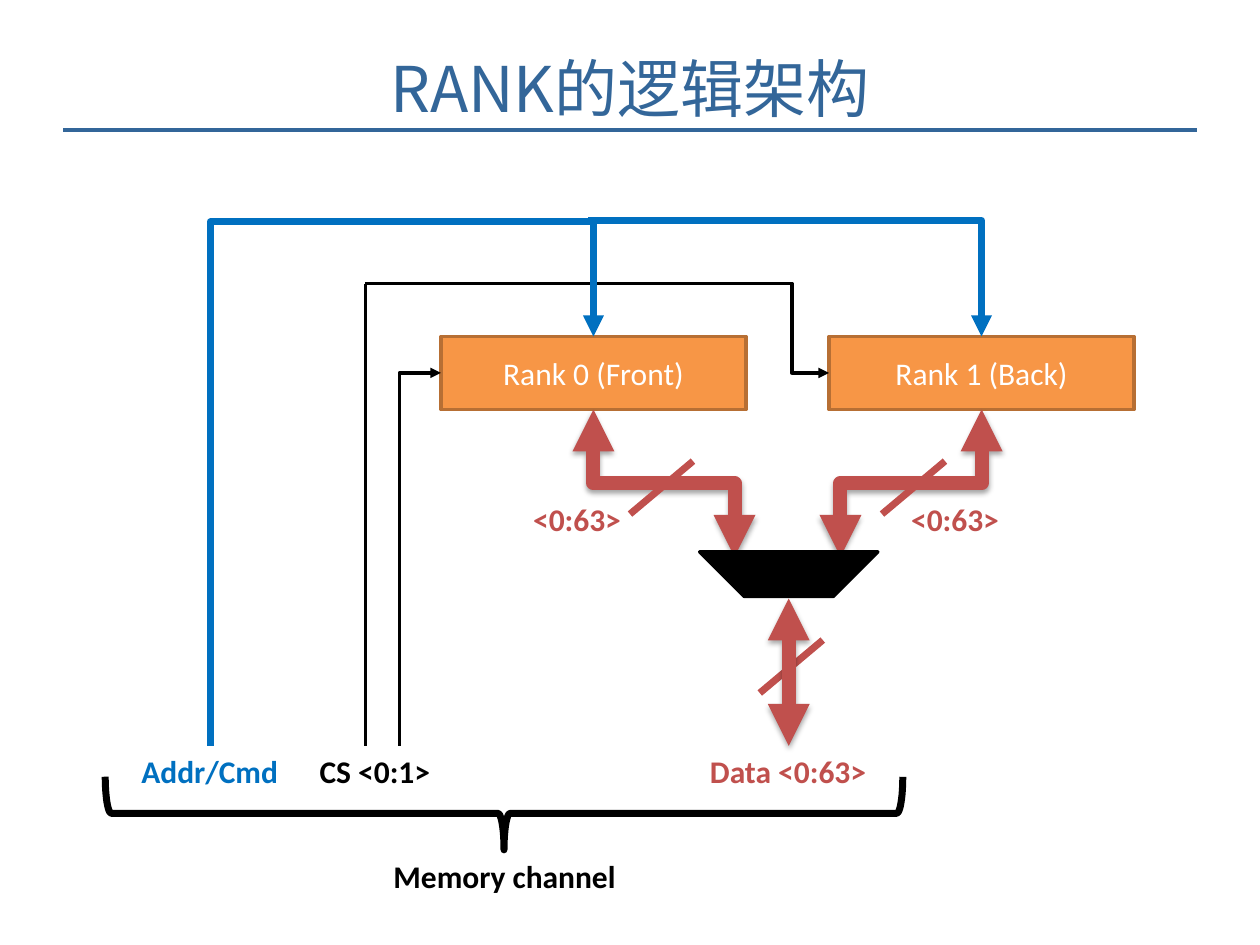
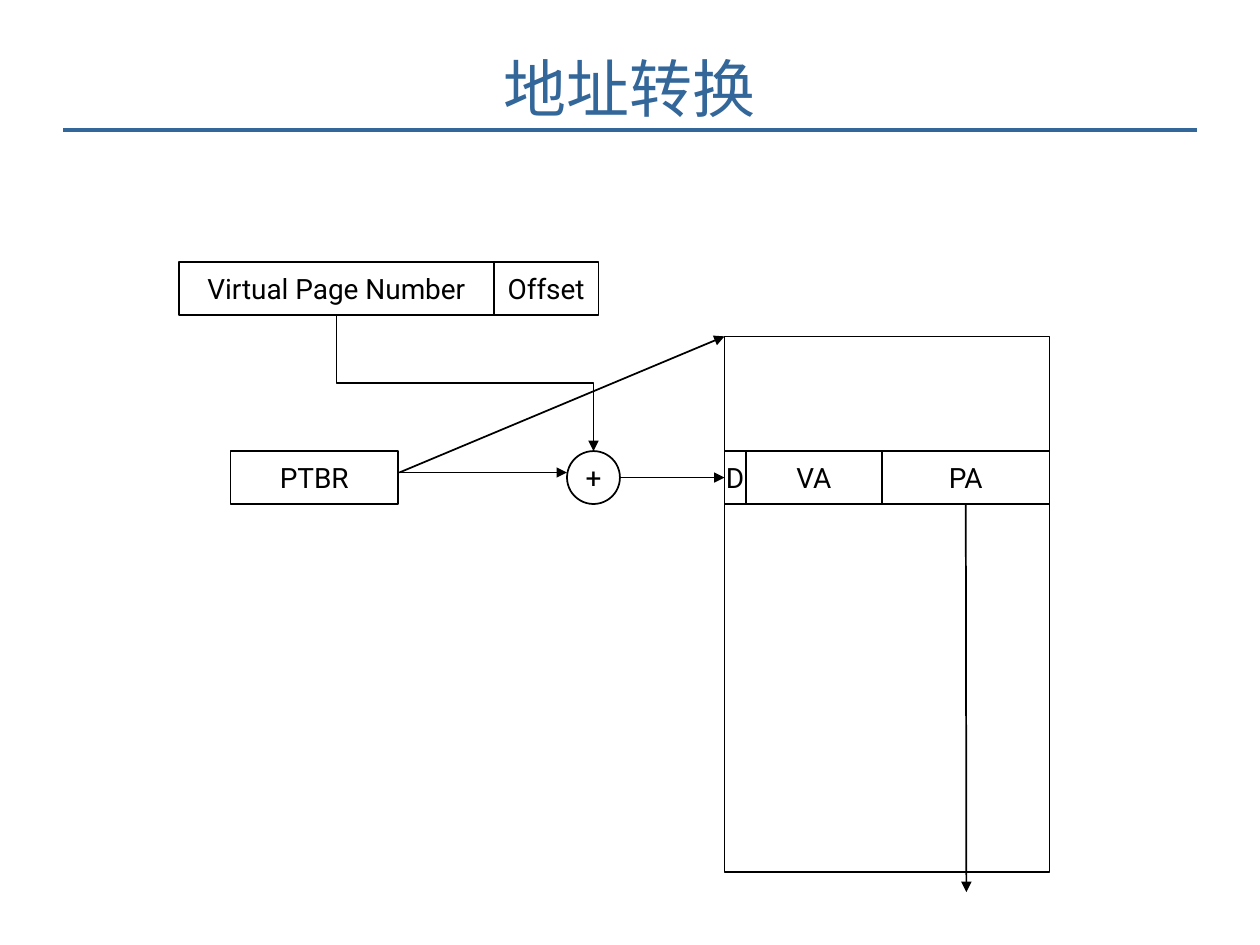
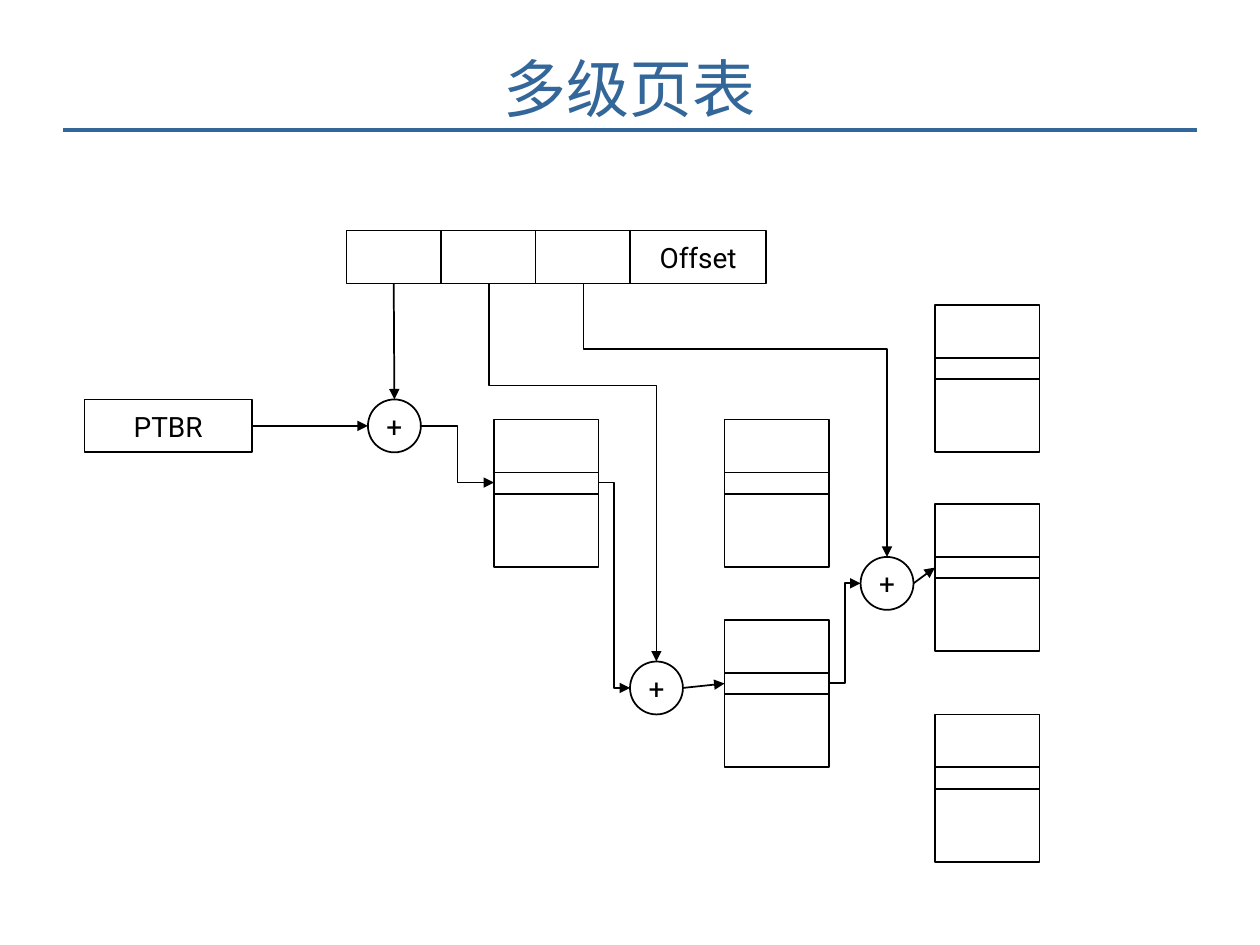
"""Build three slides on memory ranks and address translation."""
import dataclasses

import lxml.etree
import pptx
import pptx.dml.color
import pptx.enum.shapes
import pptx.enum.text
import pptx.oxml.ns
import pptx.util

Inches = pptx.util.Inches
SHAPES = pptx.enum.shapes.MSO_SHAPE
CONNECTORS = pptx.enum.shapes.MSO_CONNECTOR
TITLE_BLUE, BUS_BLUE, DATA_RED = "336699", "0070C0", "C0504D"
RANK_FILL, RANK_EDGE, BLACK, WHITE = "F79646", "B76F34", "000000", "FFFFFF"
TITLE_FONT, DIAGRAM_FONT, LABEL_FONT = "Noto Sans CJK SC", "Roboto", "Calibri"
CELL_HEIGHT = 0.42
LEFT, BOTTOM, RIGHT = 1, 2, 3


def color(value):
    """Turn a hex string into a colour."""
    return pptx.dml.color.RGBColor.from_string(value)


def add_element(parent, tag, **attributes):
    """Append a drawing element with the given attributes."""
    return lxml.etree.SubElement(parent, pptx.oxml.ns.qn(tag), attributes)


def write(shape, text, size, font, text_color, bold=False, wrap=True):
    """Write one centred line of text into a shape."""
    frame = shape.text_frame
    frame.word_wrap = wrap
    paragraph = frame.paragraphs[0]
    paragraph.alignment = pptx.enum.text.PP_ALIGN.CENTER
    run = paragraph.add_run()
    run.text = text
    run.font.size = pptx.util.Pt(size)
    run.font.bold = bold
    run.font.color.rgb = color(text_color)
    run.font.name = font
    add_element(run.font._element, "a:ea", typeface=font)


def style_line(connector, line_color, width, head, tail, shadow):
    """Give a connector its stroke, arrowheads and shadow."""
    connector.line.color.rgb = color(line_color)
    connector.line.width = pptx.util.Pt(width)
    stroke = connector.line._get_or_add_ln()
    for shown, tag in ((head, "a:headEnd"), (tail, "a:tailEnd")):
        if shown:
            add_element(stroke, tag, type="triangle")
    effects = add_element(connector._element.spPr, "a:effectLst")
    if shadow:
        outer = add_element(effects, "a:outerShdw", blurRad="40000", dist="23000",
                            dir="5400000", rotWithShape="0")
        add_element(add_element(outer, "a:srgbClr", val=BLACK), "a:alpha", val="35000")


@dataclasses.dataclass
class Region:
    """A part of a slide whose contents are placed from its top left corner."""

    slide: object
    left: float
    top: float

    def place(self, x, y):
        """Turn a point of the region into slide lengths."""
        return Inches(self.left + x), Inches(self.top + y)

    def shape(self, kind, x, y, width, height, fill=None, edge=BLACK, weight=1, rotation=0):
        """Add a preset shape."""
        shape = self.slide.shapes.add_shape(kind, *self.place(x, y), Inches(width), Inches(height))
        shape.shadow.inherit = False
        shape.rotation = rotation
        if fill:
            shape.fill.solid()
            shape.fill.fore_color.rgb = color(fill)
        else:
            shape.fill.background()
        shape.line.color.rgb = color(edge)
        shape.line.width = pptx.util.Pt(weight)
        return shape

    def cell(self, x, y, width, text="", height=CELL_HEIGHT, kind=SHAPES.RECTANGLE):
        """Add an outlined cell with an optional caption."""
        cell = self.shape(kind, x, y, width, height)
        if text:
            write(cell, text, 16, DIAGRAM_FONT, BLACK, wrap=False)
        return cell

    def adder(self, x, y):
        """Add a circled plus sign and return the middle of its right side."""
        self.cell(x, y, CELL_HEIGHT, "+", kind=SHAPES.OVAL)
        return x + CELL_HEIGHT, y + CELL_HEIGHT / 2

    def label(self, x, y, width, text, text_color):
        """Add a bold label."""
        box = self.slide.shapes.add_textbox(*self.place(x, y), Inches(width), Inches(0.4))
        write(box, text, 18, LABEL_FONT, text_color, bold=True)

    def line(self, start, end, line_color=BLACK, width=1, head=False, tail=False,
             shadow=False, begin=None, finish=None):
        """Add a straight connector, joined to rectangles where these are given."""
        connector = self.slide.shapes.add_connector(
            CONNECTORS.STRAIGHT, *self.place(*start), *self.place(*end))
        if begin:
            connector.begin_connect(*begin)
        if finish:
            connector.end_connect(*finish)
        style_line(connector, line_color, width, head, tail, shadow)

    def elbow(self, start, end, vertical=False, bend=0.5, corner=False, line_color=BLACK,
              width=1, head=False, tail=False, shadow=False):
        """Add a bent connector that leaves its start sideways or vertically."""
        connector = self.slide.shapes.add_connector(
            CONNECTORS.ELBOW, *self.place(*start), *self.place(*end))
        if vertical:
            center_x = connector.left + connector.width // 2
            center_y = connector.top + connector.height // 2
            connector.width, connector.height = connector.height, connector.width
            connector.left = center_x - connector.width // 2
            connector.top = center_y - connector.height // 2
            transform = connector._element.spPr.find(pptx.oxml.ns.qn("a:xfrm"))
            transform.set("rot", "5400000")
            transform.set("flipH", str(int(end[1] < start[1])))
            transform.set("flipV", str(int(end[0] > start[0])))
        geometry = connector._element.spPr.find(pptx.oxml.ns.qn("a:prstGeom"))
        if corner:
            geometry.set("prst", "bentConnector2")
        else:
            guides = geometry.find(pptx.oxml.ns.qn("a:avLst"))
            add_element(guides, "a:gd", name="adj1", fmla=f"val {round(bend * 100000)}")
        style_line(connector, line_color, width, head, tail, shadow)


def start_slide(presentation, title):
    """Add a slide with its title and the rule below it."""
    slide = presentation.slides.add_slide(presentation.slide_layouts[6])
    header = Region(slide, 0.5, 0.3)
    header.line((0, 0.73), (9, 0.73), TITLE_BLUE, 2)
    box = slide.shapes.add_textbox(*header.place(0, 0), Inches(9), Inches(0.78))
    box.text_frame.vertical_anchor = pptx.enum.text.MSO_ANCHOR.MIDDLE
    write(box, title, 36, TITLE_FONT, TITLE_BLUE)
    return slide


def draw_ranks(region):
    """Draw two ranks sharing one memory channel."""
    data = dict(line_color=DATA_RED, width=8, head=True, tail=True, shadow=True)
    select = dict(width=2, head=True)
    bus = dict(line_color=BUS_BLUE, width=4, head=True, vertical=True)

    def slash(x, y):
        """Mark a data path as several bits wide."""
        region.line((x, y), (x + 0.5, y - 0.42), DATA_RED, 4)

    for x, name in ((2.67, "Rank 0 (Front)"), (5.75, "Rank 1 (Back)")):
        rank = region.shape(SHAPES.RECTANGLE, x, 0.92, 2.42, 0.58, RANK_FILL, RANK_EDGE, 2)
        write(rank, name, 18, LABEL_FONT, WHITE)

    slash(5.2, 3.75)
    region.line((5.43, 4.17), (5.43, 3), **data)
    region.elbow((2.67, 1.21), (2.34, 4.17), corner=True, **select)
    region.elbow((5.75, 1.21), (2.07, 0.5), bend=0.08, **select)
    region.line((2.07, 0.5), (2.07, 4.17), width=2)
    region.elbow((3.88, 0.92), (0.84, 4.17), bend=-0.28, **bus)
    region.elbow((6.96, 0.92), (3.84, 0), corner=True, **bus)

    for mux_x, rank_x, slash_x, label_x in ((5, 3.88, 4.17, 3.25), (5.84, 6.96, 6.17, 6.25)):
        region.elbow((mux_x, 2.67), (rank_x, 1.5), vertical=True, **data)
        slash(slash_x, 2.33)
        region.label(label_x, 2.17, 1, "<0:63>", DATA_RED)
    region.shape(SHAPES.DIAGONAL_STRIPE, 4.93, 2.13, 1, 1, BLACK, weight=2, rotation=225)

    for x, text, text_color in ((0, "Addr/Cmd", BUS_BLUE), (1.31, "CS <0:1>", BLACK),
                                (4.59, "Data <0:63>", DATA_RED)):
        region.label(x, 4.17, 1.67, text, text_color)
    region.shape(SHAPES.RIGHT_BRACE, 2.88, 1.54, 0.58, 6.33, weight=4, rotation=90)
    region.label(2.09, 5, 2.17, "Memory channel", BLACK)


def draw_translation(region):
    """Draw the lookup of a page in a single page table."""
    region.cell(4.33, 0.59, 2.58, height=4.25)
    physical = region.cell(5.58, 1.5, 1.33, "PA")
    region.cell(4.5, 1.5, 1.08, "VA")
    dirty = region.cell(4.33, 1.5, 0.17, "D")
    region.cell(0.41, 1.5, 1.33, "PTBR")
    region.cell(0, 0, 2.5, "Virtual Page Number")
    region.cell(2.5, 0, 0.83, "Offset")
    total = region.adder(3.08, 1.5)
    for end in ((4.33, 0.59), (3.08, 1.67)):
        region.line((1.75, 1.67), end, tail=True)
    region.elbow((1.25, 0.42), (3.29, 1.5), vertical=True, tail=True)
    region.line(total, (4.33, 1.71), tail=True, finish=(dirty, LEFT))
    region.line((6.25, 1.92), (6.25, 5), tail=True, begin=(physical, BOTTOM))


def draw_page_table(region, x, y):
    """Draw a small page table and return its marked entry."""
    region.cell(x, y, 0.83, height=1.17)
    return region.cell(x, y + 0.42, 0.83, height=0.17)


def draw_levels(region):
    """Draw a walk through three levels of page tables."""
    base = region.cell(0, 1.34, 1.33, "PTBR")
    indexes = [region.cell(2.08 + 0.75 * level, 0, 0.75) for level in range(3)]
    region.cell(4.33, 0, 1.08, "Offset")
    region.adder(2.25, 1.34)
    for x, y in ((3.25, 1.5), (5.08, 1.5), (6.75, 0.59), (6.75, 3.84)):
        draw_page_table(region, x, y)
    for adder, table in (((4.33, 3.42), (5.08, 3.09)), ((6.16, 2.59), (6.75, 2.17))):
        total = region.adder(*adder)
        entry = draw_page_table(region, *table)
        region.line(total, table, tail=True, finish=(entry, LEFT))

    region.line((2.46, 0.42), (2.46, 1.34), tail=True, begin=(indexes[0], BOTTOM))
    region.line((1.33, 1.55), (2.25, 1.55), tail=True, begin=(base, RIGHT))
    for start, end in (((2.67, 1.55), (3.25, 2)), ((4.08, 2), (4.33, 3.63)),
                       ((5.91, 3.59), (6.16, 2.8))):
        region.elbow(start, end, tail=True)
    region.elbow((3.21, 0.42), (4.54, 3.42), vertical=True, bend=0.27, tail=True)
    region.elbow((3.96, 0.42), (6.37, 2.59), vertical=True, bend=0.24, tail=True)


def main():
    """Build and save the presentation."""
    presentation = pptx.Presentation()
    presentation.slide_width, presentation.slide_height = Inches(10), Inches(7.5)
    for title, draw, left, top in (("RANK的逻辑架构", draw_ranks, 0.83, 1.75),
                                   ("地址转换", draw_translation, 1.42, 2.08),
                                   ("多级页表", draw_levels, 0.67, 1.83)):
        draw(Region(start_slide(presentation, title), left, top))
    presentation.save("out.pptx")


if __name__ == "__main__":
    main()
